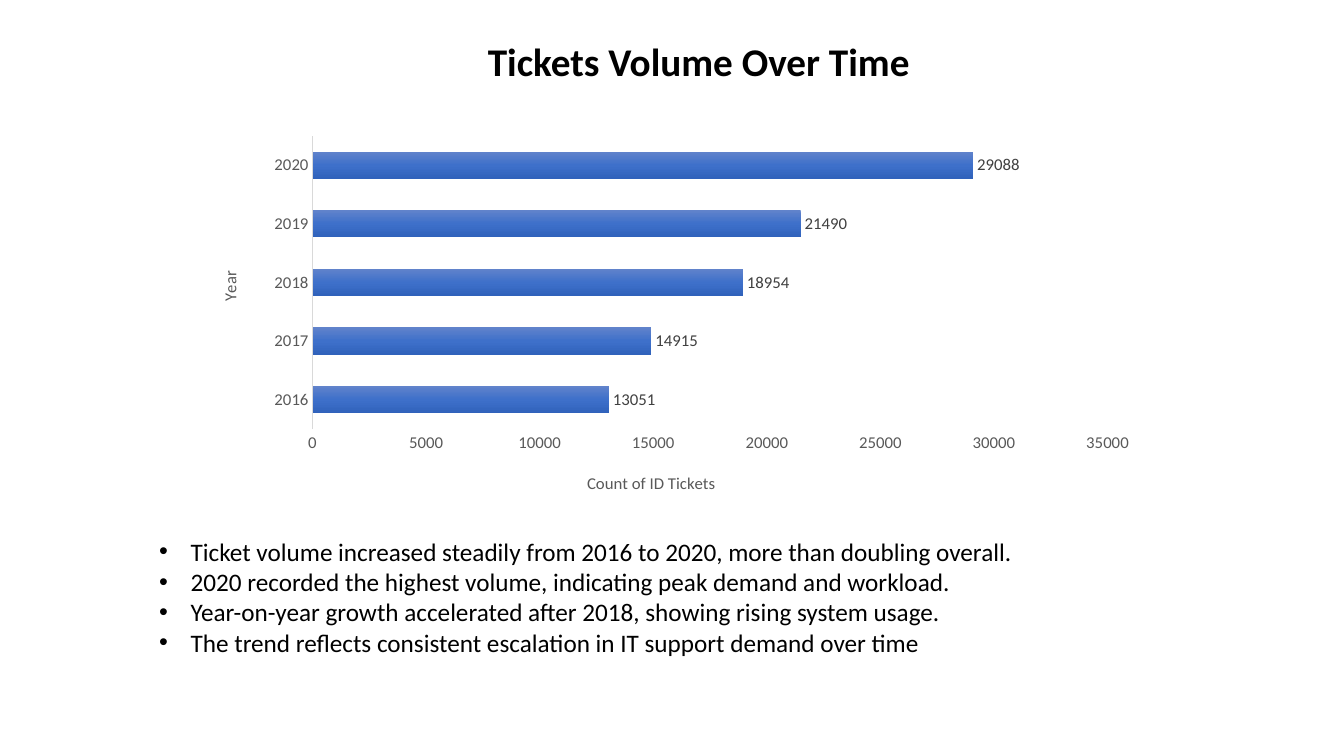
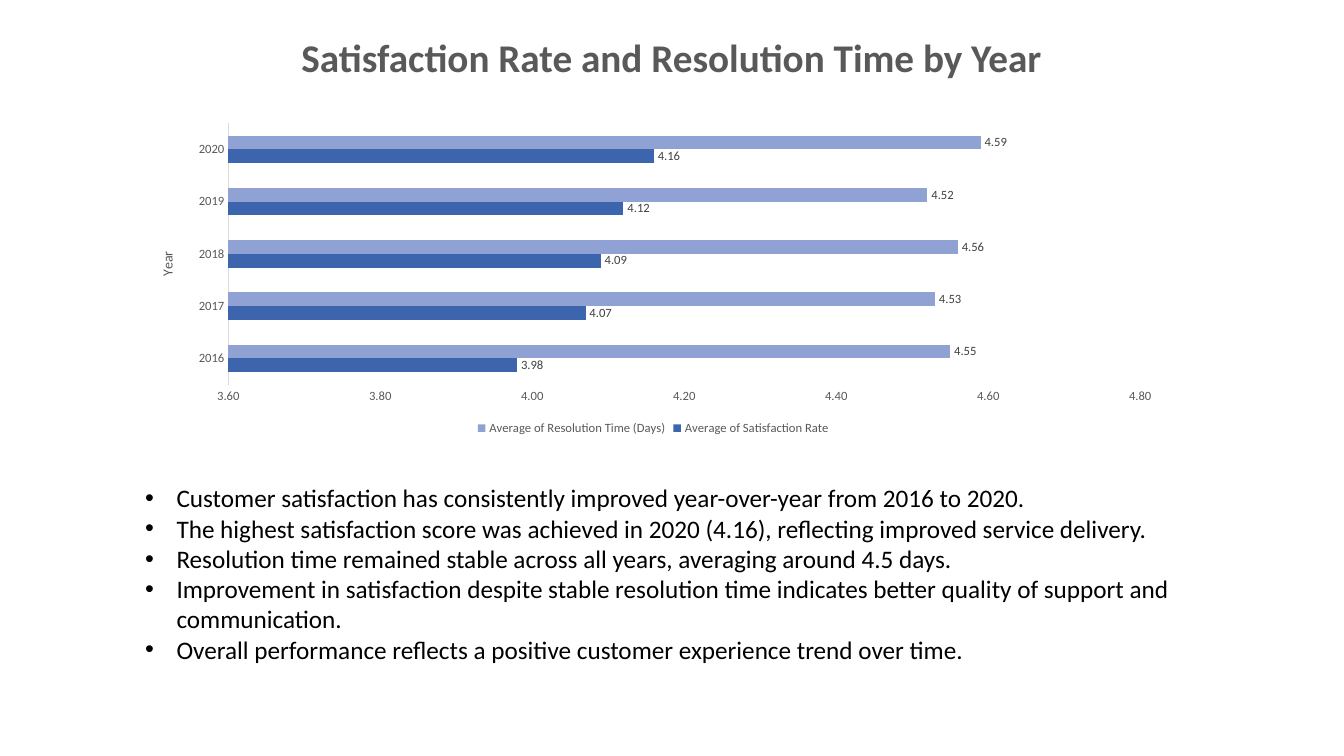
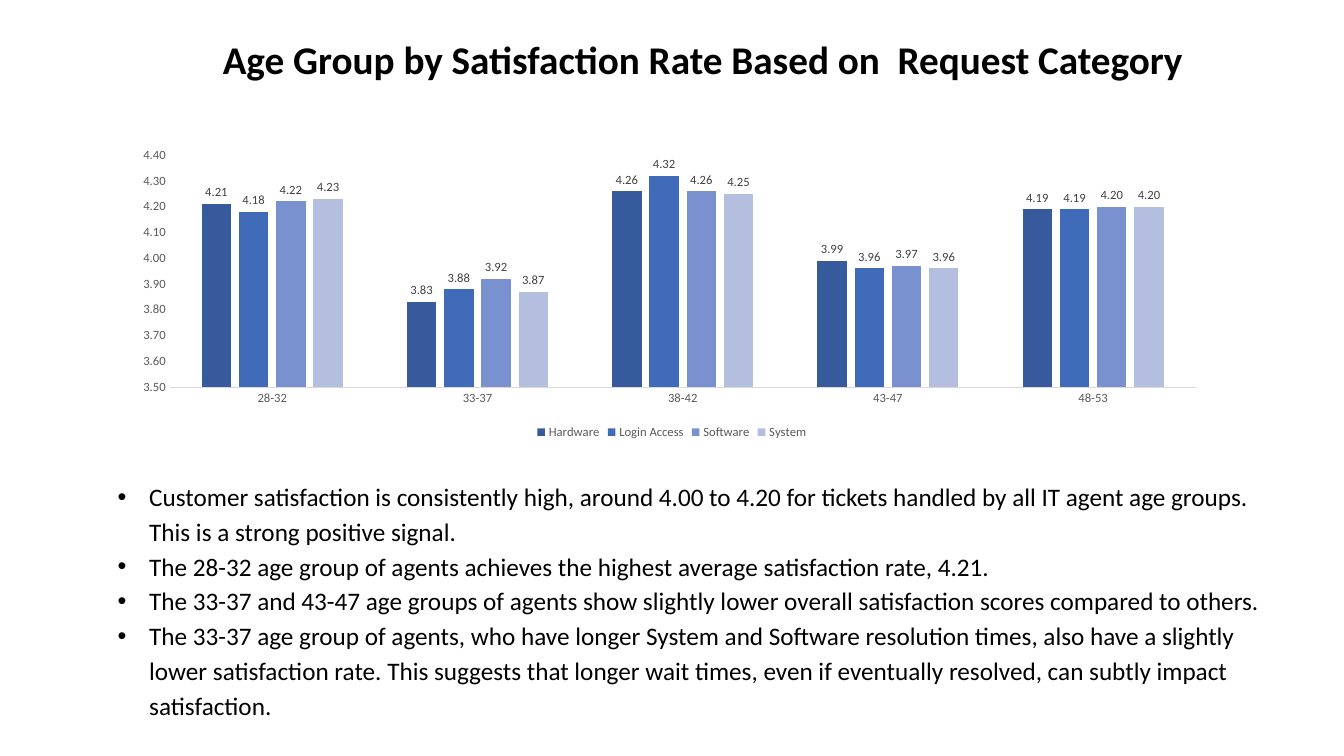
from copy import deepcopy

from lxml import etree
from pptx import Presentation
from pptx.chart.data import CategoryChartData
from pptx.dml.color import RGBColor
from pptx.enum.chart import XL_CHART_TYPE, XL_LABEL_POSITION, XL_LEGEND_POSITION, XL_TICK_MARK
from pptx.enum.text import MSO_AUTO_SIZE, PP_ALIGN
from pptx.oxml.ns import qn
from pptx.util import Pt

BAR, COLUMN = XL_CHART_TYPE.BAR_CLUSTERED, XL_CHART_TYPE.COLUMN_CLUSTERED
CENTER, LEFT = PP_ALIGN.CENTER, PP_ALIGN.LEFT
OUTSIDE_END = XL_LABEL_POSITION.OUTSIDE_END
LEGEND_BOTTOM = XL_LEGEND_POSITION.BOTTOM
NO_TICK = XL_TICK_MARK.NONE
GROW = MSO_AUTO_SIZE.SHAPE_TO_FIT_TEXT

FONT = "Calibri"
BLACK = RGBColor(0x00, 0x00, 0x00)
GRAY = RGBColor(0x59, 0x59, 0x59)
LABEL_GRAY = RGBColor(0x40, 0x40, 0x40)
AXIS_GRAY = RGBColor(0xD9, 0xD9, 0xD9)
GRADIENT = [
    (0, RGBColor(0x61, 0x83, 0xCB)),
    (0.5, RGBColor(0x3E, 0x70, 0xCA)),
    (1, RGBColor(0x30, 0x62, 0xBB)),
]
SATISFACTION_BLUE = RGBColor(0x3C, 0x65, 0xAE)
RESOLUTION_BLUE = RGBColor(0x90, 0xA2, 0xD3)
HARDWARE_BLUE = RGBColor(0x36, 0x5A, 0x9B)
LOGIN_BLUE = RGBColor(0x40, 0x6B, 0xB8)
SOFTWARE_BLUE = RGBColor(0x79, 0x91, 0xCE)
SYSTEM_BLUE = RGBColor(0xB4, 0xBE, 0xDF)

TITLE_HEIGHT = 41
BULLET_INDENT = 22.5
YEARS = ["2016", "2017", "2018", "2019", "2020"]

# Boxes are left, top, width, height in points; plot and axis title places are chart fractions.
SLIDES = [
    {
        "title": "Tickets Volume Over Time",
        "title_box": (301.7, 23, 394.6, TITLE_HEIGHT),
        "title_color": BLACK,
        "bullets": [
            "Ticket volume increased steadily from 2016 to 2020, more than doubling overall.",
            "2020 recorded the highest volume, indicating peak demand and workload.",
            "Year-on-year growth accelerated after 2018, showing rising system usage.",
            "The trend reflects consistent escalation in IT support demand over time",
        ],
        "bullets_box": (106.6, 379.4, 832.3, 94.3),
        "line_spacing": 1,
        "chart_type": BAR,
        "chart_box": (133.2, 65.5, 692.6, 290.9),
        "plot": {"x": 0.13, "y": 0.11, "w": 0.82, "h": 0.73},
        "categories": YEARS,
        "series": [("Series 1", [13051, 14915, 18954, 21490, 29088], GRADIENT)],
        "scale": (0, 35000, 5000),
        "format": "General",
        "gap": 115,
        "overlap": -20,
        "size": 12,
        "axis_line": 1,
        "category_title": ("Year", 12, {"x": 0.03, "y": 0.44}),
        "value_title": ("Count of ID Tickets", 12, {"x": 0.41, "y": 0.94}),
    },
    {
        "title": "Satisfaction Rate and Resolution Time by Year",
        "title_box": (133.9, 20.2, 691.2, TITLE_HEIGHT),
        "title_color": GRAY,
        "bullets": [
            "Customer satisfaction has consistently improved year-over-year from 2016 to 2020.",
            "The highest satisfaction score was achieved in 2020 (4.16), reflecting improved service delivery.",
            "Resolution time remained stable across all years, averaging around 4.5 days.",
            "Improvement in satisfaction despite stable resolution time indicates better quality of support "
            "and communication.",
            "Overall performance reflects a positive customer experience trend over time.",
        ],
        "bullets_box": (96.5, 341.3, 792.7, 138.2),
        "line_spacing": 1,
        "chart_type": BAR,
        "chart_box": (96.5, 83.5, 740.2, 230.4),
        "plot": {"x": 0.09, "y": 0.02, "w": 0.88, "h": 0.81},
        "categories": YEARS,
        "series": [
            ("Average of Satisfaction Rate", [3.98, 4.07, 4.09, 4.12, 4.16], SATISFACTION_BLUE),
            ("Average of Resolution Time (Days)", [4.55, 4.53, 4.56, 4.52, 4.59], RESOLUTION_BLUE),
        ],
        "scale": (3.6, 4.8, 0.2),
        "format": "0.00",
        "gap": 182,
        "overlap": 0,
        "size": 9,
        "axis_line": 0.75,
        "category_title": ("Year", 10, {"x": 0.02, "y": 0.41}),
        "value_title": None,
    },
    {
        "title": "Age Group by Satisfaction Rate Based on  Request Category",
        "title_box": (90.7, 21.6, 822.2, TITLE_HEIGHT),
        "title_color": BLACK,
        "bullets": [
            "Customer satisfaction is consistently high, around 4.00 to 4.20 for tickets handled by all IT "
            "agent age groups. This is a strong positive signal.",
            "The 28-32 age group of agents achieves the highest average satisfaction rate, 4.21.",
            "The 33-37 and 43-47 age groups of agents show slightly lower overall satisfaction scores "
            "compared to others.",
            "The 33-37 age group of agents, who have longer System and Software resolution times, also have "
            "a slightly lower satisfaction rate. This suggests that longer wait times, even if eventually "
            "resolved, can subtly impact satisfaction.",
        ],
        "bullets_box": (77, 337, 841.7, 181.4),
        "line_spacing": 1.15,
        "chart_type": COLUMN,
        "chart_box": (90, 65.5, 779.8, 251.3),
        "plot": {"x": 0.04, "y": 0.18, "w": 0.94, "h": 0.66},
        "categories": ["28-32", "33-37", "38-42", "43-47", "48-53"],
        "series": [
            ("Hardware", [4.21, 3.83, 4.26, 3.99, 4.19], HARDWARE_BLUE),
            ("Login Access", [4.18, 3.88, 4.32, 3.96, 4.19], LOGIN_BLUE),
            ("Software", [4.22, 3.92, 4.26, 3.97, 4.2], SOFTWARE_BLUE),
            ("System", [4.23, 3.87, 4.25, 3.96, 4.2], SYSTEM_BLUE),
        ],
        "scale": (3.5, 4.4, 0.1),
        "format": "0.00",
        "gap": 219,
        "overlap": -27,
        "size": 9,
        "axis_line": 0.75,
        "category_title": None,
        "value_title": None,
    },
]


def add_text(slide, lines, box, size=18, color=BLACK, bold=False, align=LEFT, bullet=False, spacing=1):
    frame = slide.shapes.add_textbox(*map(Pt, box)).text_frame
    frame.word_wrap = True
    frame.auto_size = GROW
    for index, line in enumerate(lines):
        paragraph = frame.paragraphs[0] if index == 0 else frame.add_paragraph()
        paragraph.alignment = align
        paragraph.line_spacing = spacing
        if bullet:
            properties = paragraph._p.get_or_add_pPr()
            properties.set("marL", str(Pt(BULLET_INDENT)))
            properties.set("indent", str(-Pt(BULLET_INDENT)))
            etree.SubElement(properties, qn("a:buFont"), typeface="Arial")
            etree.SubElement(properties, qn("a:buChar"), char="•")
        run = paragraph.add_run()
        run.text = line
        run.font.name, run.font.size = FONT, Pt(size)
        run.font.bold, run.font.color.rgb = bold, color


def set_layout(element, fractions, target=None):
    """Fix a plot area or an axis title at fractions of the chart's size."""
    layout = element.find(qn("c:layout"))
    if layout is None:
        layout = etree.Element(qn("c:layout"))
        element.insert(0, layout)
    manual = etree.SubElement(layout, qn("c:manualLayout"))
    if target:
        etree.SubElement(manual, qn("c:layoutTarget"), val=target)
    for mode in ("c:xMode", "c:yMode"):
        etree.SubElement(manual, qn(mode), val="edge")
    for name, value in fractions.items():
        etree.SubElement(manual, qn(f"c:{name}"), val=str(value))


presentation = Presentation()
presentation.slide_width, presentation.slide_height = Pt(960), Pt(540)
blank_layout = presentation.slide_layouts[6]

for content in SLIDES:
    slide = presentation.slides.add_slide(blank_layout)
    add_text(slide, [content["title"]], content["title_box"], size=28,
             color=content["title_color"], bold=True, align=CENTER)
    add_text(slide, content["bullets"], content["bullets_box"], bullet=True,
             spacing=content["line_spacing"])

    data = CategoryChartData(number_format=content["format"])
    data.categories = content["categories"]
    for name, values, _ in content["series"]:
        data.add_series(name, values)
    chart = slide.shapes.add_chart(content["chart_type"], *map(Pt, content["chart_box"]), data).chart
    chart.has_title = False
    chart.font.name, chart.font.size = FONT, Pt(content["size"])
    chart.font.color.rgb = GRAY
    chart.has_legend = len(content["series"]) > 1
    if chart.has_legend:
        chart.legend.position = LEGEND_BOTTOM
        chart.legend.include_in_layout = False
    set_layout(chart._chartSpace.chart.plotArea, content["plot"], target="inner")

    category_axis, value_axis = chart.category_axis, chart.value_axis
    category_axis.format.line.color.rgb = AXIS_GRAY
    category_axis.format.line.width = Pt(content["axis_line"])
    value_axis.format.line.fill.background()
    value_axis.minimum_scale, value_axis.maximum_scale, value_axis.major_unit = content["scale"]
    value_axis.tick_labels.number_format = content["format"]
    value_axis.tick_labels.number_format_is_linked = False
    for axis, title in ((category_axis, content["category_title"]), (value_axis, content["value_title"])):
        axis.has_major_gridlines = False
        axis.major_tick_mark = axis.minor_tick_mark = NO_TICK
        axis.has_title = title is not None
        if title:
            text, size, place = title
            frame = axis.axis_title.text_frame
            frame.text = text
            font = frame.paragraphs[0].runs[0].font
            font.name, font.size, font.bold = FONT, Pt(size), False
            font.color.rgb = GRAY
            rotation = -5400000 if axis is category_axis else 0
            frame._txBody.bodyPr.set("rot", str(rotation))
            set_layout(axis.axis_title._element, place)

    plot = chart.plots[0]
    plot.vary_by_categories = False
    plot.gap_width, plot.overlap = content["gap"], content["overlap"]
    plot.has_data_labels = True
    labels = plot.data_labels
    labels.show_value = True
    labels.position = OUTSIDE_END
    labels.number_format, labels.number_format_is_linked = content["format"], False
    labels.font.name, labels.font.size = FONT, Pt(content["size"])
    labels.font.color.rgb = LABEL_GRAY

    for series, (_, _, color) in zip(plot.series, content["series"]):
        series.invert_if_negative = False
        fill = series.format.fill
        if color is GRADIENT:
            fill.gradient()
            fill.gradient_angle = 270
            stop_list = next(series._element.iter(qn("a:gsLst")))
            stop_list.insert(1, deepcopy(stop_list[0]))
            for stop, (position, stop_color) in zip(fill.gradient_stops, GRADIENT):
                stop.position, stop.color.rgb = position, stop_color
        else:
            fill.solid()
            fill.fore_color.rgb = color

presentation.save("out.pptx")
